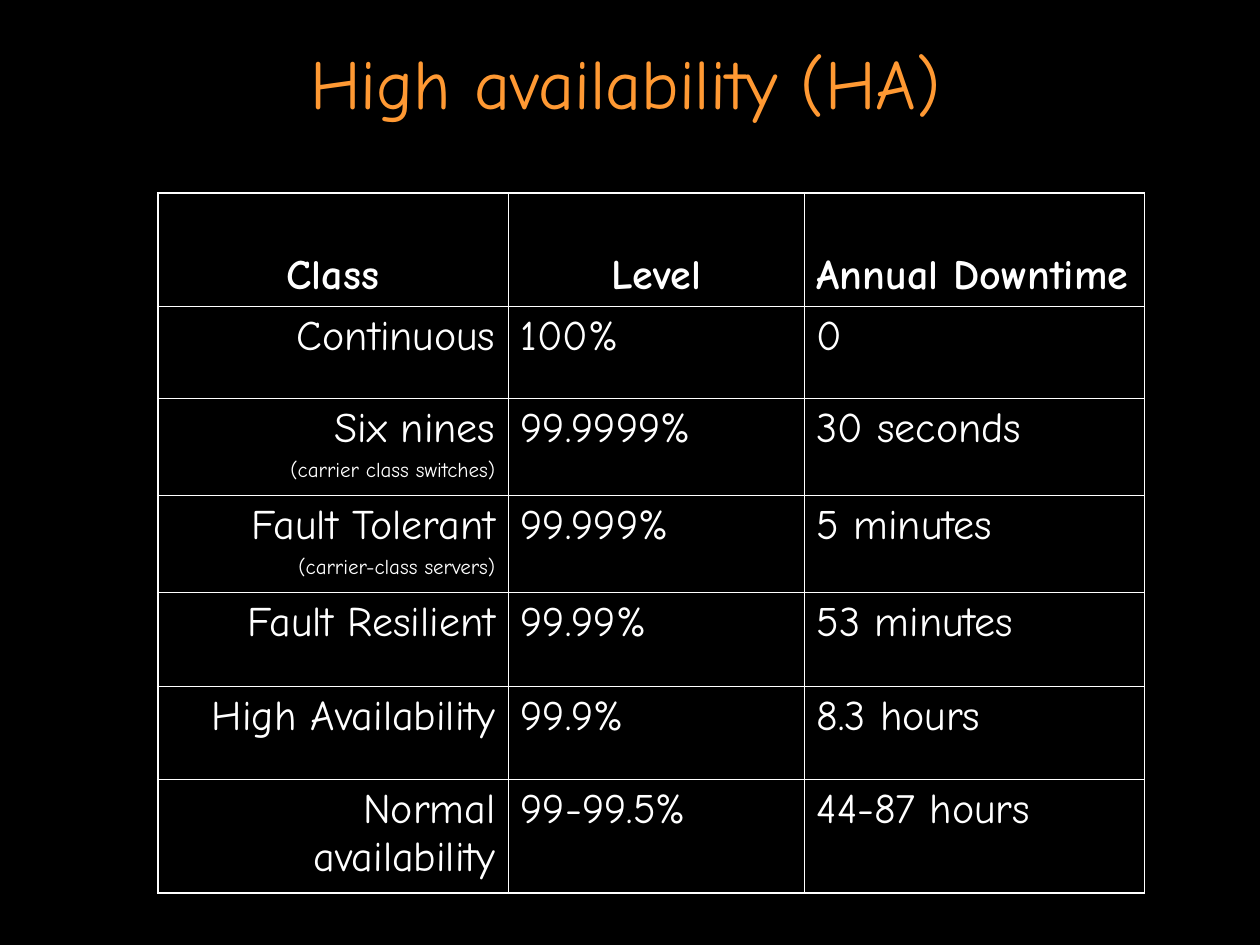
import pptx
import pptx.dml.color
import pptx.enum.text
import pptx.oxml
import pptx.oxml.ns
import pptx.util
from pptx.util import Cm, Pt

ALIGN = pptx.enum.text.PP_ALIGN
ANCHOR = pptx.enum.text.MSO_ANCHOR

HEADERS = ["Class", "Level", "Annual Downtime"]
CLASSES = [
    ("Continuous", "", "100%", "0"),
    ("Six nines", "(carrier class switches)", "99.9999%", "30 seconds"),
    ("Fault Tolerant", "(carrier-class servers)", "99.999%", "5 minutes"),
    ("Fault Resilient", "", "99.99%", "53 minutes"),
    ("High Availability", "", "99.9%", "8.3 hours"),
    ("Normal availability", "", "99-99.5%", "44-87 hours"),
]
COLUMN_WIDTHS = [7.06, 5.97, 6.86]
ROW_HEIGHTS = [2.29, 1.85, 1.96, 1.96, 1.88, 1.88, 2.29]


def color(value):
    return pptx.dml.color.RGBColor.from_string(value)


class SlideBuilder:
    font = "Comic Neue"
    background = "000000"
    accent = "FF9933"
    ink = "FFFFFF"
    outer_line = 1.08
    inner_line = 0.45

    def __init__(self, page):
        self.page = page
        fill = page.background.fill
        fill.solid()
        fill.fore_color.rgb = color(self.background)

    def add_text(self, para, text, size, ink, align, bold=False):
        para.alignment = align
        span = para.add_run()
        span.text = text
        span.font.name = self.font
        span.font.size = Pt(size)
        span.font.bold = bold
        span.font.color.rgb = color(ink)

    def title(self, text, left, top, width, height):
        box = self.page.shapes.title
        box.left, box.top = Cm(left), Cm(top)
        box.width, box.height = Cm(width), Cm(height)
        frame = box.text_frame
        frame.word_wrap = True
        frame.auto_size = pptx.enum.text.MSO_AUTO_SIZE.NONE
        frame.vertical_anchor = ANCHOR.MIDDLE
        self.add_text(frame.paragraphs[0], text, 40, self.accent, ALIGN.CENTER)

    def table(self, left, top, widths, heights):
        frame = self.page.shapes.add_table(
            len(heights), len(widths),
            Cm(left), Cm(top), Cm(sum(widths)), Cm(sum(heights)))
        table = frame.table
        table.first_row = table.horz_banding = False
        for column, width in zip(table.columns, widths):
            column.width = Cm(width)
        for row, height in zip(table.rows, heights):
            row.height = Cm(height)
        last_row, last_column = len(heights) - 1, len(widths) - 1
        for r in range(len(heights)):
            for c in range(len(widths)):
                cell = table.cell(r, c)
                self.borders(cell, {"L": c == 0, "R": c == last_column,
                                    "T": r == 0, "B": r == last_row})
                cell.fill.background()
        return table

    def borders(self, cell, outer_sides):
        """Draw the four cell edges, thicker where the side is on the table's rim."""
        properties = cell._tc.get_or_add_tcPr()
        for side, is_outer in outer_sides.items():
            width = Pt(self.outer_line if is_outer else self.inner_line)
            properties.append(pptx.oxml.parse_xml(
                f'<a:ln{side} {pptx.oxml.ns.nsdecls("a")} w="{width}"><a:solidFill>'
                f'<a:srgbClr val="{self.ink}"/></a:solidFill></a:ln{side}>'))

    def cell(self, cell, text, align, note="", header=False):
        cell.vertical_anchor = ANCHOR.BOTTOM if header else ANCHOR.TOP
        frame = cell.text_frame
        self.add_text(frame.paragraphs[0], text, 24, self.ink, align, header)
        if note:
            para = frame.add_paragraph()
            para.space_before = Pt(3)
            self.add_text(para, note, 12, self.ink, align)


def main():
    deck = pptx.Presentation()
    deck.slide_width, deck.slide_height = Cm(25.4), Cm(19.05)
    builder = SlideBuilder(deck.slides.add_slide(deck.slide_layouts[5]))
    builder.title("High availability (HA)", 0.64, 0.76, 23.93, 1.78)

    table = builder.table(3.18, 3.89, COLUMN_WIDTHS, ROW_HEIGHTS)
    header_aligns = [ALIGN.CENTER, ALIGN.CENTER, ALIGN.LEFT]
    for c, (text, align) in enumerate(zip(HEADERS, header_aligns)):
        builder.cell(table.cell(0, c), text, align, header=True)
    for r, (name, note, level, downtime) in enumerate(CLASSES, start=1):
        builder.cell(table.cell(r, 0), name, ALIGN.RIGHT, note)
        builder.cell(table.cell(r, 1), level, ALIGN.LEFT)
        builder.cell(table.cell(r, 2), downtime, ALIGN.LEFT)

    deck.save("out.pptx")


if __name__ == "__main__":
    main()
